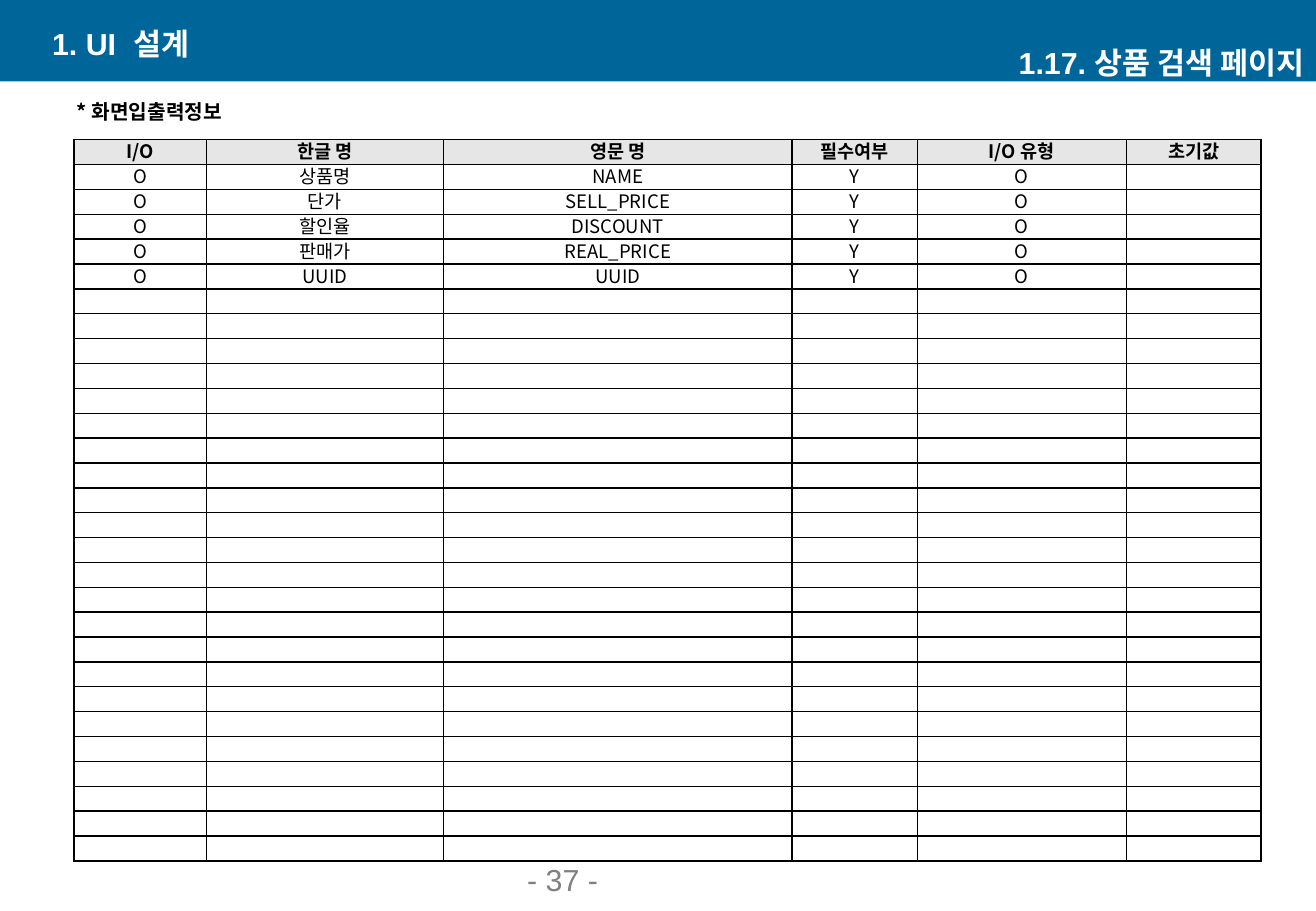
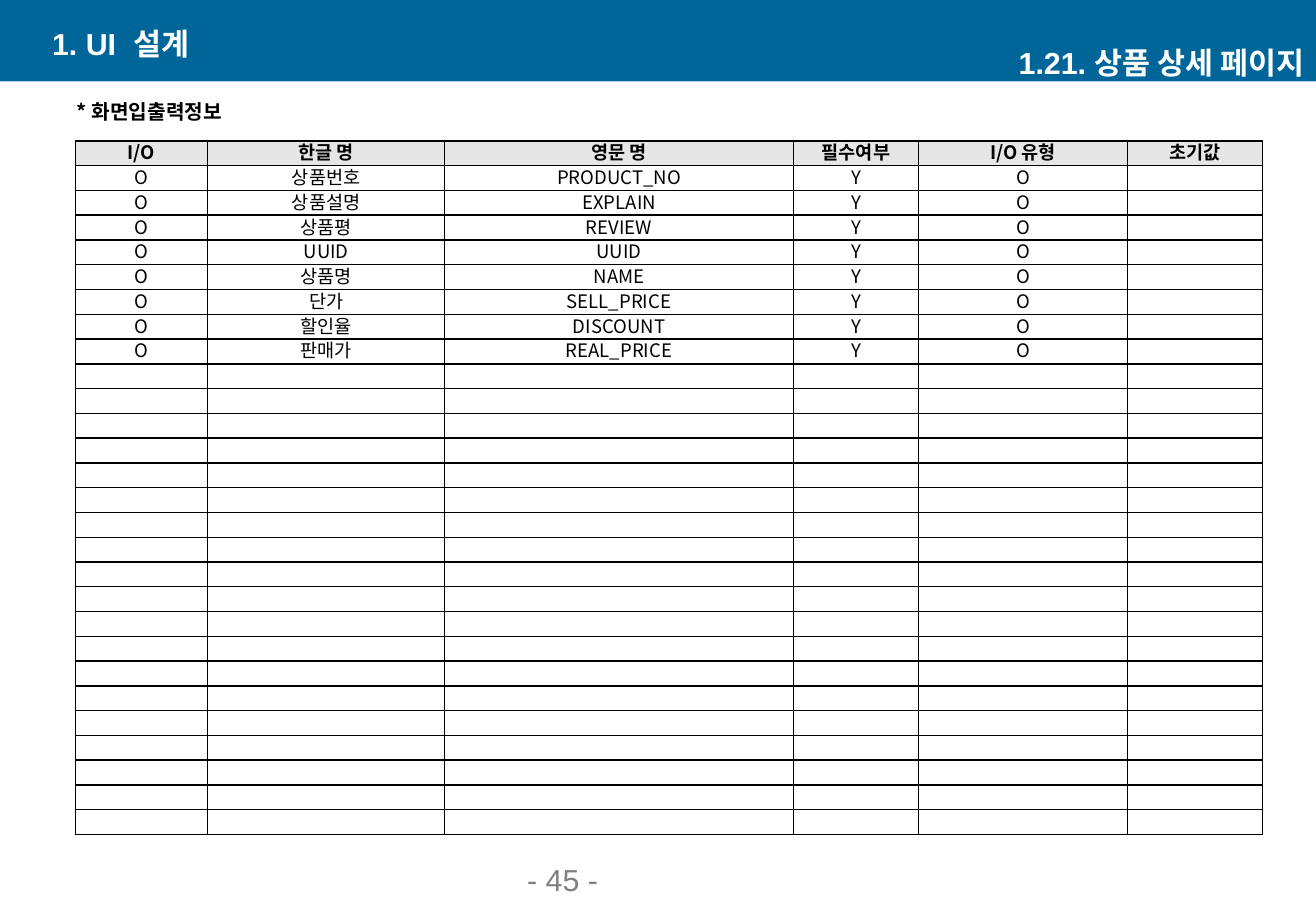
from dataclasses import dataclass

import pptx
import pptx.dml.color
import pptx.enum.shapes
import pptx.enum.text
import pptx.oxml
import pptx.oxml.ns
import pptx.presentation
import pptx.slide
import pptx.table
import pptx.text.text
import pptx.util
from pptx.util import Inches

Align = pptx.enum.text.PP_ALIGN
Anchor = pptx.enum.text.MSO_ANCHOR

COLORS = {
    "band": "006699",
    "page_number": "808080",
    "title": "FFFFFF",
    "text": "000000",
    "border": "000000",
    "header": "E6E6E6",
}
LATIN_FONT = "Arial"
KOREAN_FONT = "Noto Sans CJK KR"
SLIDE_WIDTH, SLIDE_HEIGHT = 10.83, 7.5
COLUMN_WIDTHS = (1.09, 1.95, 2.87, 1.03, 1.72, 1.11)
HEADERS = ("I/O", "한글 명", "영문 명", "필수여부", "I/O 유형", "초기값")


@dataclass(frozen=True)
class TextStyle:
    size: float
    color: str
    bold: bool = False
    font: str = LATIN_FONT


TITLE = TextStyle(18, "title", bold=True)
PAGE_NUMBER = TextStyle(18, "page_number")
HEADING = TextStyle(12, "text", bold=True, font=KOREAN_FONT)
TABLE_HEADER = TextStyle(11, "text", bold=True, font=KOREAN_FONT)
TABLE_BODY = TextStyle(11, "text", font=KOREAN_FONT)


@dataclass(frozen=True)
class Box:
    left: float
    top: float
    width: float
    height: float

    def lengths(self) -> tuple[int, ...]:
        return tuple(Inches(n) for n in (self.left, self.top, self.width, self.height))


@dataclass(frozen=True)
class Page:
    number: int
    title: str
    table_box: Box
    row_count: int
    fields: tuple[tuple[str, str], ...]


PRICE_FIELDS = (("단가", "SELL_PRICE"), ("할인율", "DISCOUNT"), ("판매가", "REAL_PRICE"))
NAME_FIELD = ("상품명", "NAME")
UUID_FIELD = ("UUID", "UUID")
PAGES = (
    Page(37, "1.17. 상품 검색 페이지", Box(0.61, 1.15, 9.76, 5.94), 29,
         (NAME_FIELD, *PRICE_FIELDS, UUID_FIELD)),
    Page(45, "1.21. 상품 상세 페이지", Box(0.62, 1.16, 9.76, 5.72), 28,
         (("상품번호", "PRODUCT_NO"), ("상품설명", "EXPLAIN"), ("상품평", "REVIEW"),
          UUID_FIELD, NAME_FIELD, *PRICE_FIELDS)),
)


def rgb(name: str) -> pptx.dml.color.RGBColor:
    return pptx.dml.color.RGBColor.from_string(COLORS[name])


def add_run(paragraph: pptx.text.text._Paragraph, text: str, style: TextStyle) -> None:
    run = paragraph.add_run()
    run.text = text
    run.font.size = pptx.util.Pt(style.size)
    run.font.bold = style.bold
    run.font.name = style.font
    run.font.color.rgb = rgb(style.color)
    east_asian = pptx.oxml.parse_xml(
        f'<a:ea {pptx.oxml.ns.nsdecls("a")} typeface="{KOREAN_FONT}"/>')
    run.font._element.append(east_asian)


def add_text(slide: pptx.slide.Slide, box: Box, text: str, style: TextStyle,
             align: Align = Align.LEFT, anchor: Anchor = Anchor.MIDDLE,
             wrap: bool = True) -> None:
    frame = slide.shapes.add_textbox(*box.lengths()).text_frame
    frame.word_wrap = wrap
    frame.vertical_anchor = anchor
    paragraph = frame.paragraphs[0]
    paragraph.alignment = align
    add_run(paragraph, text, style)


def add_frame(slide: pptx.slide.Slide, page: Page) -> None:
    """Draw the band, titles, heading and page number."""
    band = slide.shapes.add_shape(pptx.enum.shapes.MSO_SHAPE.RECTANGLE,
                                  *Box(0, 0, SLIDE_WIDTH, 0.67).lengths())
    band.shadow.inherit = False
    band.fill.solid()
    band.fill.fore_color.rgb = rgb("band")
    band.line.fill.background()
    add_text(slide, Box(0.33, 0.19, 4.38, 0.33), "1. UI  설계", TITLE)
    add_text(slide, Box(6.45, 0.35, 4.38, 0.33), page.title, TITLE, Align.RIGHT)
    add_text(slide, Box(0.47, 0.77, 1.52, 0.29), "* 화면입출력정보", HEADING,
             Align.CENTER, wrap=False)
    add_text(slide, Box(4.24, 7.13, 2.26, 0.31), f"- {page.number} -", PAGE_NUMBER,
             anchor=Anchor.BOTTOM)


def add_borders(cell: pptx.table._Cell) -> None:
    properties = cell._tc.get_or_add_tcPr()
    for position, side in enumerate(("lnL", "lnR", "lnT", "lnB")):
        properties.insert(position, pptx.oxml.parse_xml(
            f'<a:{side} {pptx.oxml.ns.nsdecls("a")} w="{pptx.util.Pt(1)}">'
            f'<a:solidFill><a:srgbClr val="{COLORS["border"]}"/></a:solidFill></a:{side}>'))


def fill_cell(cell: pptx.table._Cell, text: str, is_header: bool) -> None:
    cell.vertical_anchor = Anchor.MIDDLE
    cell.margin_left = cell.margin_right = Inches(0.07 if is_header else 0.01)
    cell.margin_top = cell.margin_bottom = 0
    if is_header:
        cell.fill.solid()
        cell.fill.fore_color.rgb = rgb("header")
    else:
        cell.fill.background()
    add_borders(cell)
    paragraph = cell.text_frame.paragraphs[0]
    paragraph.alignment = Align.CENTER
    paragraph.line_spacing = pptx.util.Pt(14)
    if text:
        add_run(paragraph, text, TABLE_HEADER if is_header else TABLE_BODY)
    else:
        # A small end mark keeps an empty row from growing.
        paragraph._p.append(pptx.oxml.parse_xml(
            f'<a:endParaRPr {pptx.oxml.ns.nsdecls("a")} sz="800"/>'))


def add_field_table(slide: pptx.slide.Slide, page: Page) -> None:
    table = slide.shapes.add_table(page.row_count, len(HEADERS),
                                   *page.table_box.lengths()).table
    table.first_row = table.horz_banding = False
    for column, width in zip(table.columns, COLUMN_WIDTHS):
        column.width = Inches(width)
    filled = [HEADERS, *(("O", korean, english, "Y", "O", "")
                         for korean, english in page.fields)]
    empty = [("",) * len(HEADERS)] * (page.row_count - len(filled))
    for index, (row, texts) in enumerate(zip(table.rows, filled + empty)):
        row.height = Inches(page.table_box.height / page.row_count)
        for cell, text in zip(row.cells, texts):
            fill_cell(cell, text, is_header=index == 0)


def main() -> None:
    presentation = pptx.Presentation()
    presentation.slide_width = Inches(SLIDE_WIDTH)
    presentation.slide_height = Inches(SLIDE_HEIGHT)
    for page in PAGES:
        slide = presentation.slides.add_slide(presentation.slide_layouts[6])
        add_frame(slide, page)
        add_field_table(slide, page)
    presentation.save("out.pptx")


if __name__ == "__main__":
    main()
